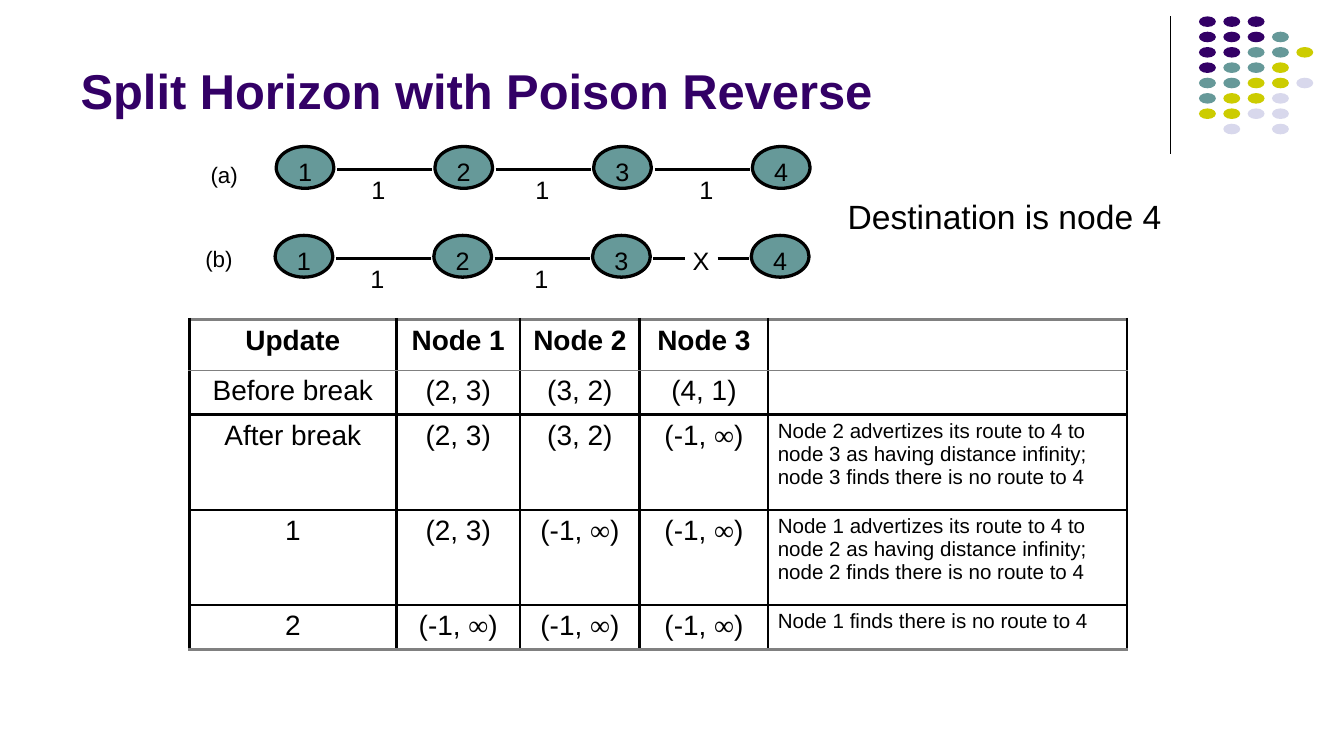
from dataclasses import dataclass

from lxml.etree import SubElement
from pptx import Presentation
from pptx.dml.color import RGBColor
from pptx.enum.shapes import MSO_CONNECTOR as Connector, MSO_SHAPE as Shape
from pptx.enum.text import MSO_ANCHOR as Anchor, MSO_AUTO_SIZE as AutoSize, PP_ALIGN as Align
from pptx.oxml.ns import qn
from pptx.util import Cm, Pt


@dataclass(frozen=True)
class Theme:
    font: str = "Arial"
    symbol_font: str = "Times New Roman"
    black: str = "000000"
    grey: str = "808080"
    purple: str = "330066"
    teal: str = "669999"
    yellow: str = "CCCC00"
    lavender: str = "D8D8EC"
    title_size: float = 26.2
    body_size: float = 18
    cell_size: float = 15
    node_size: float = 13.5
    label_size: float = 12
    note_size: float = 11
    line_width: float = 1.75


class SlideBuilder:
    def __init__(self, slide, theme):
        self.slide = slide
        self.theme = theme

    def add_runs(self, paragraph, text, size, bold=False, color=None, align=Align.LEFT):
        """Add the text in runs, setting an infinity sign in the symbol font."""
        paragraph.alignment = align
        for part in filter(None, text.partition("∞")):
            run = paragraph.add_run()
            run.text = part
            run.font.name = self.theme.symbol_font if part == "∞" else self.theme.font
            run.font.size = Pt(size)
            run.font.bold = bold
            run.font.color.rgb = RGBColor.from_string(color or self.theme.black)

    def title(self, text, left, top, width, height):
        shape = self.slide.shapes.title
        shape.left, shape.top = Cm(left), Cm(top)
        shape.width, shape.height = Cm(width), Cm(height)
        frame = shape.text_frame
        frame.auto_size = AutoSize.NONE
        frame.vertical_anchor = Anchor.BOTTOM
        self.add_runs(frame.paragraphs[0], text, self.theme.title_size, True, self.theme.purple)

    def text(self, text, left, top, width, height, size, inset=True):
        box = self.slide.shapes.add_textbox(Cm(left), Cm(top), Cm(width), Cm(height))
        frame = box.text_frame
        frame.word_wrap = True
        if not inset:
            frame.margin_left = frame.margin_right = frame.margin_top = frame.margin_bottom = 0
        self.add_runs(frame.paragraphs[0], text, size)

    def ellipse(self, left, top, width, height, color):
        shape = self.slide.shapes.add_shape(
            Shape.OVAL, Cm(left), Cm(top), Cm(width), Cm(height))
        shape.shadow.inherit = False
        shape.fill.solid()
        shape.fill.fore_color.rgb = RGBColor.from_string(color)
        shape.line.fill.background()
        return shape

    def node(self, name, left, top, width, height):
        shape = self.ellipse(left, top, width, height, self.theme.teal)
        shape.line.color.rgb = RGBColor.from_string(self.theme.black)
        shape.line.width = Pt(self.theme.line_width)
        frame = shape.text_frame
        frame.word_wrap = False
        frame.vertical_anchor = Anchor.MIDDLE
        frame.margin_left = frame.margin_right = frame.margin_bottom = 0
        frame.margin_top = Cm(0.15)
        self.add_runs(frame.paragraphs[0], name, self.theme.node_size, align=Align.CENTER)

    def line(self, x1, y1, x2, y2, width):
        line = self.slide.shapes.add_connector(
            Connector.STRAIGHT, Cm(x1), Cm(y1), Cm(x2), Cm(y2))
        line.line.color.rgb = RGBColor.from_string(self.theme.black)
        line.line.width = Pt(width)
        SubElement(line.element.spPr, qn("a:effectLst"))

    def border(self, cell, side, color, width):
        properties = cell._tc.get_or_add_tcPr()
        line = SubElement(properties, qn(f"a:ln{side}"), w=str(Pt(width)))
        SubElement(SubElement(line, qn("a:solidFill")), qn("a:srgbClr"), val=color)

    def table(self, rows, left, top, widths, heights):
        theme = self.theme
        table = self.slide.shapes.add_table(
            len(rows), len(widths), Cm(left), Cm(top),
            Cm(sum(widths)), Cm(sum(heights))).table
        table.first_row = table.horz_banding = False
        for column, width in zip(table.columns, widths):
            column.width = Cm(width)
        for row, height in zip(table.rows, heights):
            row.height = Cm(height)

        rule, outer, header = (theme.black, 1.5), (theme.grey, 2), (theme.grey, 1)
        edges = [outer, header] + [rule] * (len(rows) - 2) + [outer]
        for i, row in enumerate(rows):
            for j, text in enumerate(row):
                cell = table.cell(i, j)
                cell.margin_left = cell.margin_right = Cm(0.18)
                cell.margin_top = cell.margin_bottom = Cm(0.1)
                for side, style in zip("LRTB", (rule, rule, edges[i], edges[i + 1])):
                    self.border(cell, side, *style)
                cell.fill.background()
                paragraph = cell.text_frame.paragraphs[0]
                is_note = j == len(widths) - 1
                self.add_runs(paragraph, text,
                              theme.note_size if is_note else theme.cell_size,
                              bold=i == 0, align=Align.LEFT if is_note else Align.CENTER)
                if not text:
                    SubElement(paragraph._p, qn("a:endParaRPr"),
                               sz=str(theme.note_size * 100))


def draw_dots(builder):
    theme = builder.theme
    colors = {"P": theme.purple, "T": theme.teal, "Y": theme.yellow, "L": theme.lavender}
    pattern = ("PPP", "PPPT", "PPTTY", "PTTY", "TTYYL", "TYYL", "YYLL", ".L.L")
    for row, codes in enumerate(pattern):
        for column, code in enumerate(codes):
            if code in colors:
                builder.ellipse(22.66 + 0.46 * column, 0.31 + 0.29 * row,
                                0.32, 0.2, colors[code])


def draw_chain(builder, label, label_left, label_top, left, top, broken):
    """Draw four nodes in a row; a broken chain has an X on its last link."""
    theme = builder.theme
    pitch, node_width, node_height = 3, 1.09, 0.79
    middle = top + 0.43
    for i in range(4):
        builder.node(str(i + 1), left + pitch * i, top, node_width, node_height)
    for i in range(3):
        start = left + pitch * i + 1.15
        end = start + 1.8
        if broken and i == 2:
            builder.line(start, middle, start + 0.59, middle, theme.line_width)
            builder.line(end - 0.59, middle, end, middle, theme.line_width)
            builder.text("X", start + 0.74, top + 0.18, 0.36, 0.58, theme.node_size, False)
        else:
            builder.line(start, middle, end, middle, theme.line_width)
            builder.text("1", left + 1.8 + 3.1 * i, top + 0.53, 0.3, 0.58,
                         theme.node_size, False)
    builder.text(label, label_left, label_top, 1.1, 1.3, theme.label_size)


def main():
    presentation = Presentation()
    presentation.slide_width, presentation.slide_height = Cm(25.4), Cm(14.29)
    slide = presentation.slides.add_slide(presentation.slide_layouts[5])
    theme = Theme()
    builder = SlideBuilder(slide, theme)

    builder.line(22.12, 0.31, 22.12, 2.92, 0.75)
    draw_dots(builder)
    builder.title("Split Horizon with Poison Reverse", 1.27, 0.25, 20.96, 2.14)
    draw_chain(builder, "(a)", 3.73, 2.92, 5.22, 2.77, broken=False)
    draw_chain(builder, "(b)", 3.63, 4.5, 5.2, 4.45, broken=True)
    builder.text("Destination is node 4", 15.77, 3.58, 6.6, 1.02, theme.body_size)

    lost = "(-1, ∞)"
    rows = [
        ("Update", "Node 1", "Node 2", "Node 3", ""),
        ("Before break", "(2, 3)", "(3, 2)", "(4, 1)", ""),
        ("After break", "(2, 3)", "(3, 2)", lost,
         "Node 2 advertizes its route to 4 to node 3 as having distance infinity; "
         "node 3 finds there is no route to 4"),
        ("1", "(2, 3)", lost, lost,
         "Node 1 advertizes its route to 4 to node 2 as having distance infinity; "
         "node 2 finds there is no route to 4"),
        ("2", lost, lost, lost, "Node 1 finds there is no route to 4"),
    ]
    builder.table(rows, 3.58, 6.04, (3.91, 2.34, 2.26, 2.43, 6.78),
                  (0.96, 0.83, 1.8, 1.8, 0.83))
    presentation.save("out.pptx")


if __name__ == "__main__":
    main()
